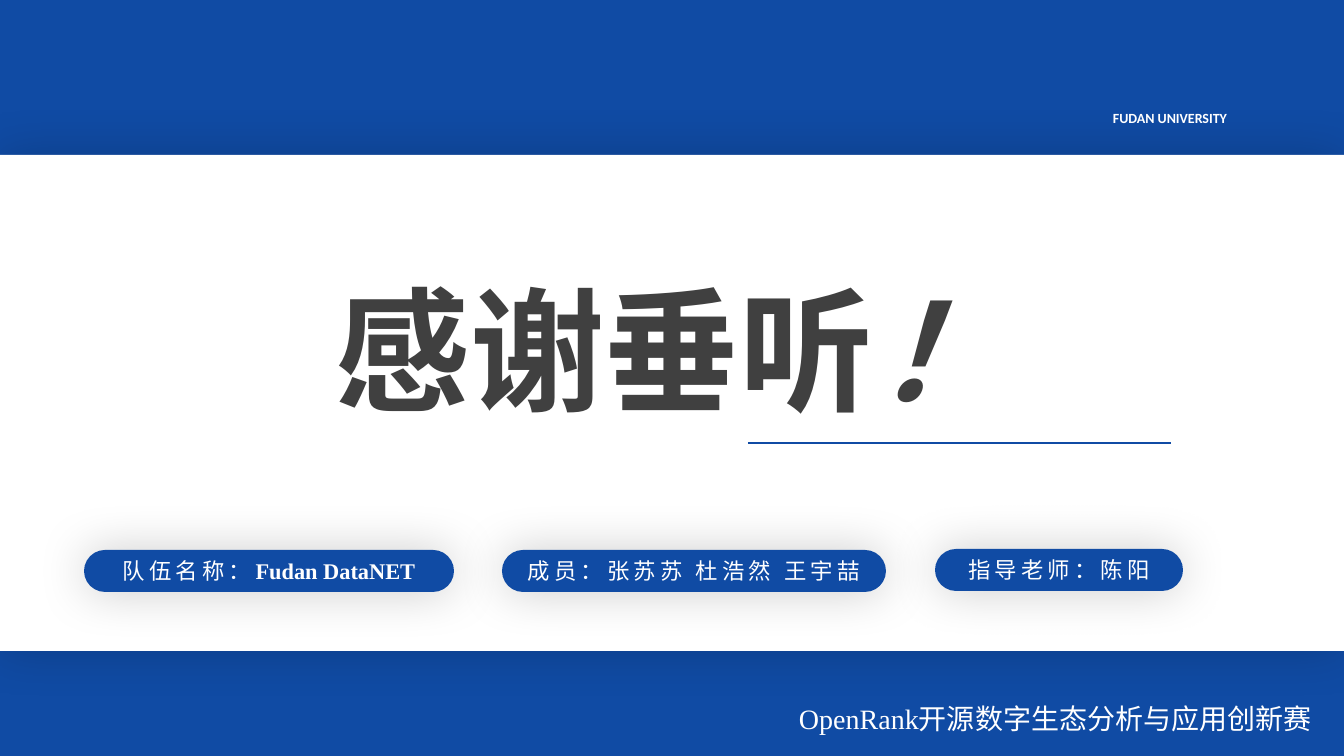
"""Build the closing thank-you slide with its team details."""
import pptx
import pptx.dml.color
import pptx.enum.shapes
import pptx.enum.text
import pptx.oxml
import pptx.oxml.ns
import pptx.util
from lxml import etree

EMU_PER_PX = 914400 / 100.8
BLUE = pptx.dml.color.RGBColor(0x10, 0x4B, 0xA4)
WHITE = pptx.dml.color.RGBColor(0xFF, 0xFF, 0xFF)
DARK = pptx.dml.color.RGBColor(0x40, 0x40, 0x40)
CHINESE = "Noto Sans CJK SC"
LATIN = "Times New Roman"
ALIGN = pptx.enum.text.PP_ALIGN
ANCHOR = pptx.enum.text.MSO_ANCHOR
SHAPE = pptx.enum.shapes.MSO_SHAPE


def px(length):
    """Turn pixels into EMU."""
    return pptx.util.Emu(round(length * EMU_PER_PX))


def box(*lengths):
    """Turn left, top, width and height into EMU."""
    return [px(length) for length in lengths]


def write_runs(text_frame, runs, size, color, align, anchor=ANCHOR.TOP):
    """Fill a text frame with one paragraph of (text, font, options) runs."""
    text_frame.word_wrap = True
    text_frame.vertical_anchor = anchor
    paragraph = text_frame.paragraphs[0]
    paragraph.alignment = align
    for text, font_name, options in runs:
        run = paragraph.add_run()
        run.text = text
        font = run.font
        font.size = pptx.util.Pt(size)
        font.bold = options.get("bold", False)
        font.italic = options.get("italic", False)
        font.color.rgb = color
        font.name = font_name
        properties = run._r.get_or_add_rPr()
        properties.set("spc", str(options.get("spacing", 0) * 100))
        east_asian = etree.SubElement(properties, pptx.oxml.ns.qn("a:ea"))
        east_asian.set("typeface", font_name)
    return paragraph


def add_glow_shape(slide, kind, bounds, color, blur, opacity):
    """Add a filled shape with a soft, centred black shadow."""
    shape = slide.shapes.add_shape(kind, *box(*bounds))
    shape.fill.solid()
    shape.fill.fore_color.rgb = color
    shape.line.fill.background()
    shape.shadow.inherit = False
    effects = shape._element.spPr.find(pptx.oxml.ns.qn("a:effectLst"))
    effects.append(pptx.oxml.parse_xml(
        f'<a:outerShdw {pptx.oxml.ns.nsdecls("a")} blurRad="{pptx.util.Pt(blur)}" '
        'dist="0" algn="ctr" rotWithShape="0"><a:srgbClr val="000000">'
        f'<a:alpha val="{opacity * 1000}"/></a:srgbClr></a:outerShdw>'))
    return shape


def add_pill(slide, bounds, runs):
    """Add a blue rounded label with white text."""
    pill = add_glow_shape(slide, SHAPE.ROUNDED_RECTANGLE, bounds, BLUE, 36, 20)
    pill.adjustments[0] = 0.5
    write_runs(pill.text_frame, runs, 16, WHITE, ALIGN.CENTER, ANCHOR.MIDDLE)


def add_label(slide, bounds, runs, size, align):
    """Add a white text box."""
    label = slide.shapes.add_textbox(*box(*bounds))
    write_runs(label.text_frame, runs, size, WHITE, align)


def place_title(slide, bounds, runs):
    """Format the title and bring it in front of the bands."""
    title = slide.shapes.title
    title.left, title.top, title.width, title.height = box(*bounds)
    title.text_frame.auto_size = pptx.enum.text.MSO_AUTO_SIZE.NONE
    paragraph = write_runs(title.text_frame, runs, 96, DARK, ALIGN.CENTER)
    paragraph.line_spacing = 1.25
    title._element.getparent().append(title._element)


def add_rule(slide, left, right, y):
    """Add the blue line under the title."""
    rule = slide.shapes.add_connector(
        pptx.enum.shapes.MSO_CONNECTOR.STRAIGHT, *box(left, y, right, y))
    rule.line.color.rgb = BLUE
    rule.line.width = pptx.util.Pt(2)
    etree.SubElement(rule._element.spPr, pptx.oxml.ns.qn("a:effectLst"))


def main():
    """Build and save the slide."""
    presentation = pptx.Presentation()
    presentation.slide_width, presentation.slide_height = px(1344), px(756)
    slide = presentation.slides.add_slide(presentation.slide_layouts[5])

    add_glow_shape(slide, SHAPE.RECTANGLE, (0, 0, 1344, 756), BLUE, 40, 20)
    add_glow_shape(slide, SHAPE.RECTANGLE, (0, 155, 1344, 496), WHITE, 36, 18)
    place_title(slide, (0, 222, 1344, 214), [
        ("感谢垂听", CHINESE, {"bold": True}),
        ("！", CHINESE, {"bold": True, "italic": True})])
    add_label(slide, (1103, 105, 186, 27),
              [("FUDAN UNIVERSITY", "Calibri", {"bold": True})], 10, ALIGN.JUSTIFY)
    add_rule(slide, 748, 1171, 443)
    add_label(slide, (789, 697, 553, 44), [
        ("OpenRank", LATIN, {}),
        ("开源数字生态分析与应用创新赛", CHINESE, {})], 20, ALIGN.LEFT)

    spaced = {"spacing": 3}
    add_pill(slide, (84, 550, 370, 42), [
        ("队伍名称：", CHINESE, spaced), ("Fudan DataNET", LATIN, {"bold": True})])
    add_pill(slide, (502, 550, 384, 42),
             [("成员：张苏苏 杜浩然 王宇喆", CHINESE, spaced)])
    add_pill(slide, (935, 549, 248, 42), [("指导老师：陈阳", CHINESE, spaced)])
    presentation.save("out.pptx")


if __name__ == "__main__":
    main()
